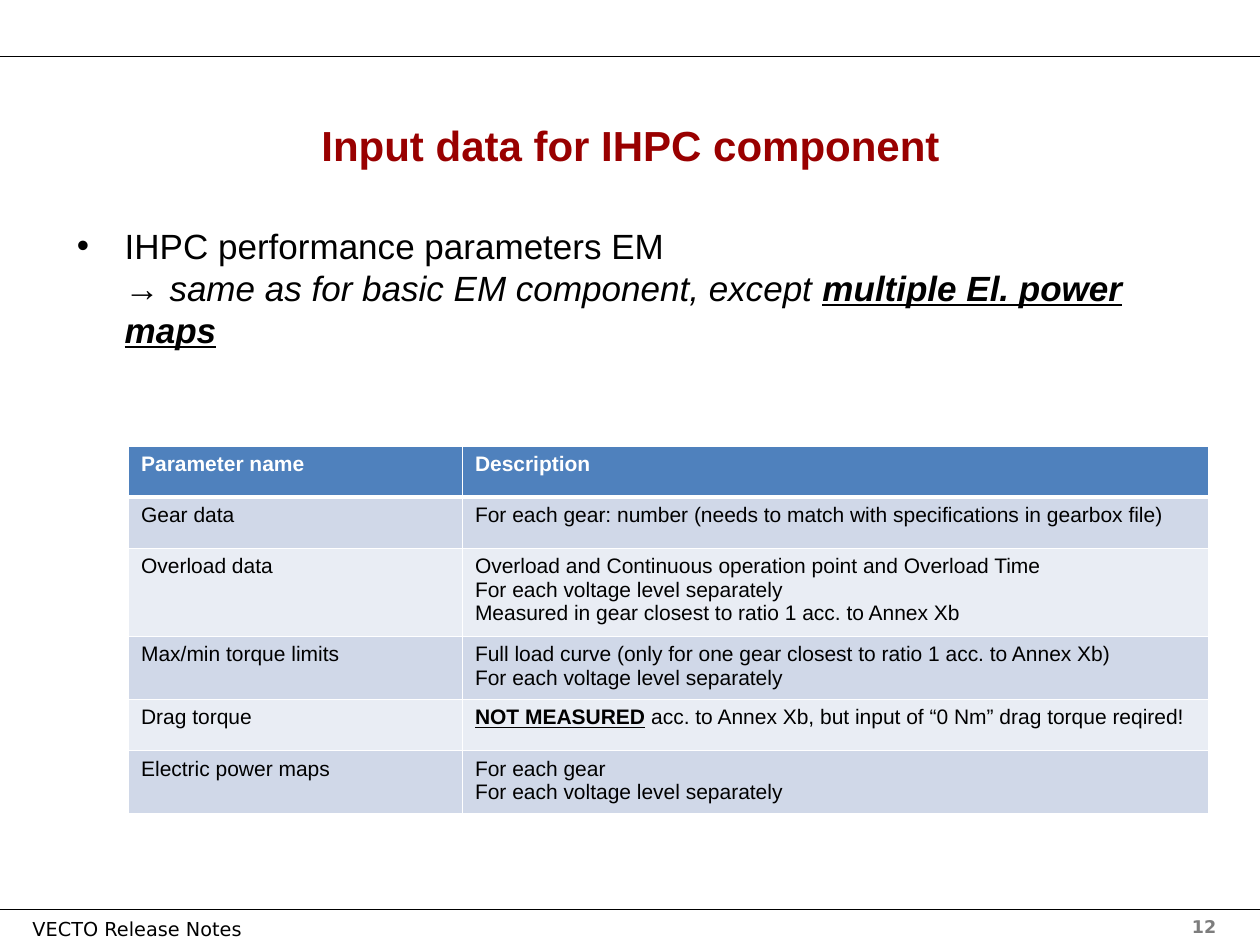
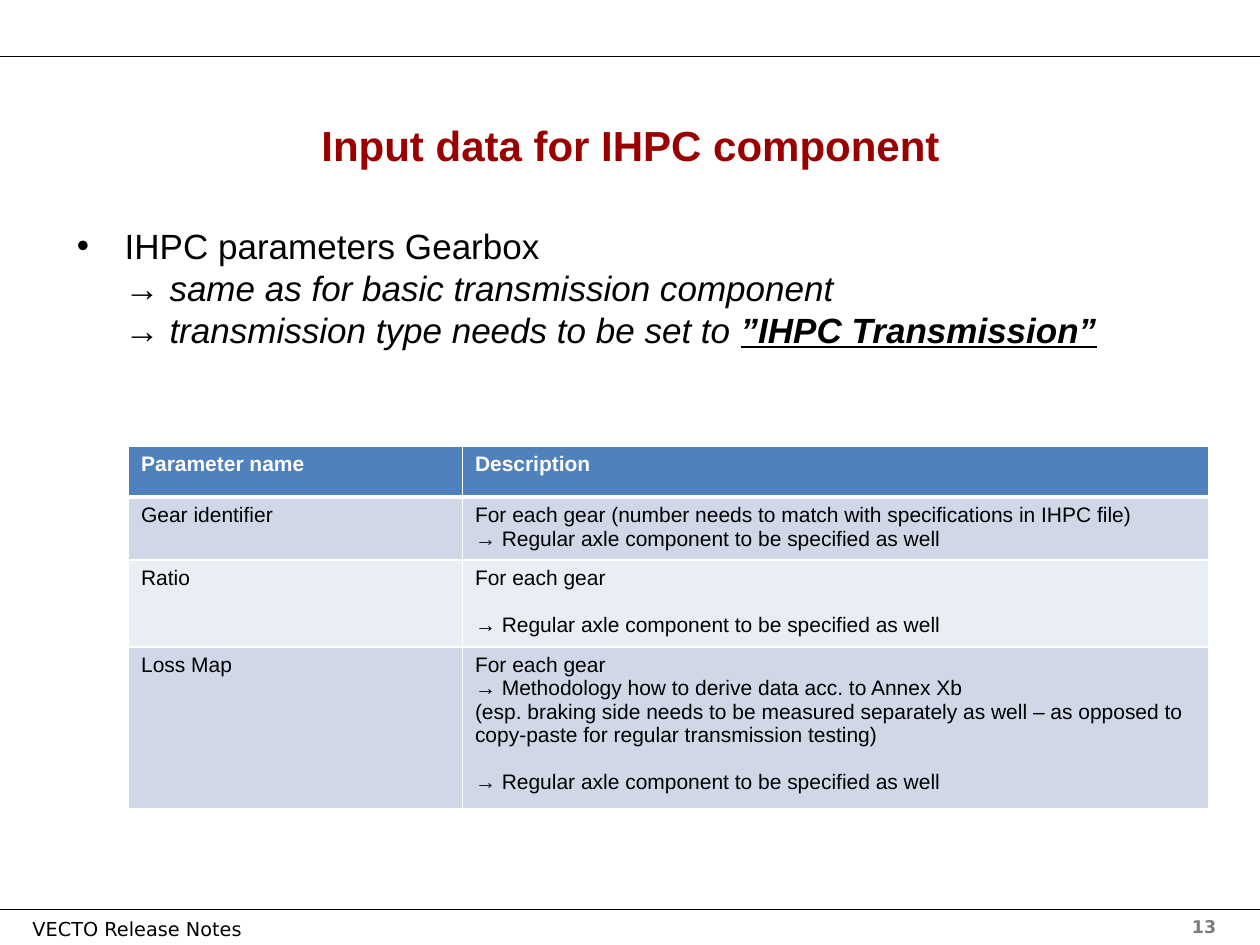
from copy import deepcopy

from lxml.etree import SubElement
from pptx import Presentation
from pptx.dml.color import RGBColor
from pptx.enum.shapes import MSO_CONNECTOR
from pptx.enum.text import MSO_ANCHOR, MSO_AUTO_SIZE, PP_ALIGN
from pptx.oxml.ns import qn
from pptx.util import Pt

BLACK, WHITE, GREY = "000000", "FFFFFF", "7D7D7D"
TITLE_RED, HEADER_BLUE = "990000", "4F81BD"
BANDS = ("D0D8E8", "E9EDF4")
FONT, FOOTER_FONT = "Arial", "DejaVu Sans"
SLIDE_W, SLIDE_H = 720, 540
TOP_RULE, BOTTOM_RULE = 32.4, 519.84
MARGIN, CONTENT_W = 36.72, 647.28
BODY_INDENT = 27.36
TABLE_LEFT, TABLE_TOP = 73.44, 254.88
COLUMN_WIDTHS = (190.8, 426.24)
ROW_H, LINE_H = 29.2, 13.5
HEADINGS = ("Parameter name", "Description")
TITLE = "Input data for IHPC component"
AXLE_NOTE = "→ Regular axle component to be specified as well"
VOLTAGE_NOTE = "For each voltage level separately"
EMPHASIS = dict(bold=True, italic=True, underline=True)

# In table text a blank line leaves a gap and ** encloses emphasis.
EM_ROWS = [
    ("Gear data",
     "For each gear: number (needs to match with specifications in gearbox file)"),
    ("Overload data",
     "Overload and Continuous operation point and Overload Time\n"
     f"{VOLTAGE_NOTE}\n"
     "Measured in gear closest to ratio 1 acc. to Annex Xb"),
    ("Max/min torque limits",
     "Full load curve (only for one gear closest to ratio 1 acc. to Annex Xb)\n"
     f"{VOLTAGE_NOTE}"),
    ("Drag torque",
     "**NOT MEASURED** acc. to Annex Xb, but input of “0 Nm” drag torque reqired!"),
    ("Electric power maps", f"For each gear\n{VOLTAGE_NOTE}"),
]
GEARBOX_ROWS = [
    ("Gear identifier",
     "For each gear (number needs to match with specifications in IHPC file)\n"
     f"{AXLE_NOTE}"),
    ("Ratio", f"For each gear\n\n{AXLE_NOTE}"),
    ("Loss Map",
     "For each gear\n"
     "→ Methodology how to derive data acc. to Annex Xb\n"
     "(esp. braking side needs to be measured separately as well – as opposed to "
     f"copy-paste for regular transmission testing)\n\n{AXLE_NOTE}"),
]
EM_BODY = [
    ("IHPC performance parameters EM\n→ ", {}),
    ("same as for basic EM component, except ", dict(italic=True)),
    ("multiple El. power maps", EMPHASIS),
]
GEARBOX_BODY = [
    ("IHPC parameters Gearbox\n→ ", {}),
    ("same as for basic transmission component\n", dict(italic=True)),
    ("→ ", {}),
    ("transmission type needs to be set to ", dict(italic=True)),
    ("”IHPC Transmission”", EMPHASIS),
]


def rgb(value):
    return RGBColor.from_string(value)


def write(p, text, size=12, color=BLACK, font=FONT,
          bold=False, italic=False, underline=False):
    """Append formatted text to a paragraph; newlines become line breaks."""
    for i, line in enumerate(text.split("\n")):
        if i:
            p.add_line_break()
            p._p[-1].append(deepcopy(r._r.rPr))
        r = p.add_run()
        r.text = line
        f = r.font
        f.name, f.size, f.color.rgb = font, Pt(size), rgb(color)
        f.bold, f.italic, f.underline = bold, italic, underline


def place(sp, left, top, width, height):
    sp.left, sp.top, sp.width, sp.height = map(Pt, (left, top, width, height))


def add_rule(s, y):
    line = s.shapes.add_connector(
        MSO_CONNECTOR.STRAIGHT, 0, Pt(y), Pt(SLIDE_W), Pt(y))
    line.line.color.rgb = rgb(BLACK)
    line.line.width = Pt(0.75)
    SubElement(line._element.spPr, qn("a:effectLst"))


def add_label(s, text, box, align=PP_ALIGN.LEFT, anchor=MSO_ANCHOR.TOP,
              wrap=True, **fmt):
    tf = s.shapes.add_textbox(*map(Pt, box)).text_frame
    tf.word_wrap = wrap
    tf.vertical_anchor = anchor
    tf.paragraphs[0].alignment = align
    write(tf.paragraphs[0], text, font=FOOTER_FONT, **fmt)


def add_frame(s, number):
    """Add the rules, footer and page number that every slide has."""
    add_rule(s, TOP_RULE)
    add_rule(s, BOTTOM_RULE)
    add_label(s, str(number), (629.28, BOTTOM_RULE, 72.72, 19.44),
              align=PP_ALIGN.RIGHT, size=10, color=GREY, bold=True)
    add_label(s, "VECTO Release Notes", (11.52, 522, 148.32, 17.28),
              anchor=MSO_ANCHOR.MIDDLE, wrap=False, size=11)


def fill_title(s):
    sp = s.shapes.title
    place(sp, MARGIN, 56.16, CONTENT_W, 53.28)
    tf = sp.text_frame
    tf.vertical_anchor = MSO_ANCHOR.MIDDLE
    tf.auto_size = MSO_AUTO_SIZE.NONE
    p = tf.paragraphs[0]
    p.alignment = PP_ALIGN.CENTER
    write(p, TITLE, size=24, color=TITLE_RED, bold=True)


def fill_body(s, runs):
    sp = s.placeholders[1]
    place(sp, MARGIN, 124.56, CONTENT_W, 357.84)
    tf = sp.text_frame
    tf.auto_size = MSO_AUTO_SIZE.NONE
    p = tf.paragraphs[0]
    p.space_before = Pt(0)
    pPr = p._p.get_or_add_pPr()
    pPr.set("marL", str(Pt(BODY_INDENT)))
    pPr.set("indent", str(-Pt(BODY_INDENT)))
    SubElement(pPr, qn("a:buChar"), char="•")
    for text, fmt in runs:
        write(p, text, size=20, **fmt)


def set_borders(cell, top, bottom):
    tcPr = cell._tc.get_or_add_tcPr()
    for side, width in (("L", 1), ("R", 1), ("T", top), ("B", bottom)):
        ln = SubElement(tcPr, qn(f"a:ln{side}"), w=str(Pt(width)))
        fill = SubElement(ln, qn("a:solidFill"))
        SubElement(fill, qn("a:srgbClr"), val=WHITE)


def fill_cell(cell, text, row):
    header = row == 0
    set_borders(cell, top=3 if row == 1 else 1, bottom=3 if header else 1)
    cell.fill.solid()
    cell.fill.fore_color.rgb = rgb(HEADER_BLUE if header else BANDS[(row - 1) % 2])
    tf = cell.text_frame
    p = None
    for group in text.split("\n\n"):
        for i, line in enumerate(group.split("\n")):
            gap = p is not None and i == 0
            p = tf.add_paragraph() if p is not None else tf.paragraphs[0]
            p.alignment = PP_ALIGN.LEFT
            if gap:
                p.space_before = Pt(LINE_H)
            for n, part in enumerate(line.split("**")):
                if part:
                    write(p, part, color=WHITE if header else BLACK,
                          bold=header or n % 2 == 1, underline=n % 2 == 1)


def add_parameter_table(s, rows):
    rows = [HEADINGS, *rows]
    table = s.shapes.add_table(
        len(rows), len(HEADINGS), Pt(TABLE_LEFT), Pt(TABLE_TOP),
        Pt(sum(COLUMN_WIDTHS)), Pt(ROW_H * len(rows))).table
    for column, width in zip(table.columns, COLUMN_WIDTHS):
        column.width = Pt(width)
    for i, row in enumerate(rows):
        for j, text in enumerate(row):
            fill_cell(table.cell(i, j), text, i)


def main():
    prs = Presentation()
    prs.slide_width, prs.slide_height = Pt(SLIDE_W), Pt(SLIDE_H)
    contents = [(EM_BODY, EM_ROWS), (GEARBOX_BODY, GEARBOX_ROWS)]
    for number, (body, rows) in enumerate(contents, start=12):
        s = prs.slides.add_slide(prs.slide_layouts[1])
        add_frame(s, number)
        fill_title(s)
        fill_body(s, body)
        add_parameter_table(s, rows)
    prs.save("out.pptx")


if __name__ == "__main__":
    main()
